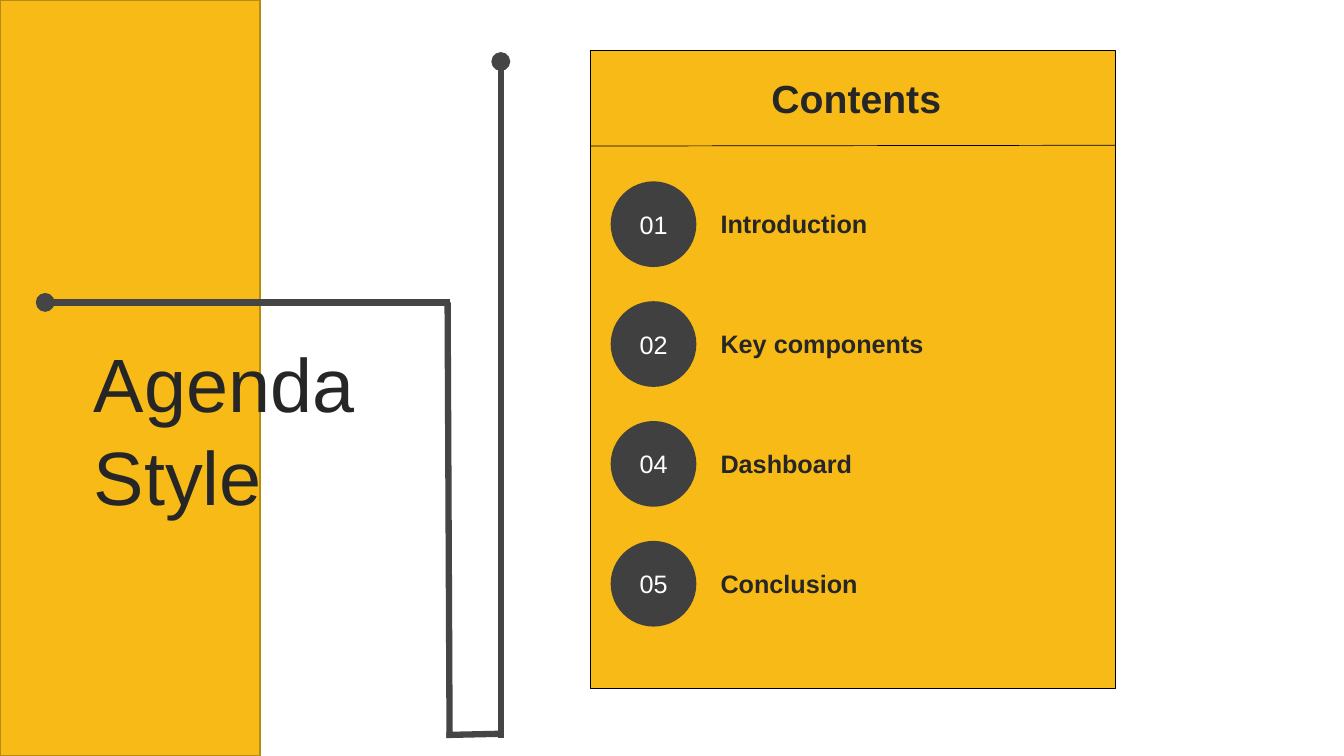
"""Build the agenda slide."""
from dataclasses import dataclass

from lxml.etree import SubElement
from pptx import Presentation
from pptx.dml.color import RGBColor
from pptx.enum.shapes import MSO_CONNECTOR, MSO_SHAPE
from pptx.enum.text import MSO_ANCHOR, MSO_AUTO_SIZE, PP_ALIGN
from pptx.oxml.ns import qn
from pptx.util import Cm, Pt

GOLD, EDGE, DISC, TRACK = "F8BA16", "B78A10", "404040", "454545"
INK, BLACK, WHITE = "262626", "000000", "FFFFFF"
FONT = "Arial"
PITCH = 3.02


@dataclass
class Box:
    """A place on the slide in centimetres."""
    left: float
    top: float
    width: float
    height: float

    def lengths(self) -> tuple:
        """Return the place as slide lengths."""
        return Cm(self.left), Cm(self.top), Cm(self.width), Cm(self.height)


@dataclass
class Line:
    """A straight line in centimetres, with an optional dot at its start."""
    x1: float
    y1: float
    x2: float
    y2: float
    color: str = TRACK
    weight: float = 4.5
    dot: bool = False


@dataclass
class Topic:
    """A numbered entry of the agenda."""
    number: str
    label: str


LINES = [
    Line(1.14, 7.62, 11.33, 7.62, dot=True),
    Line(11.33, 18.59, 11.28, 7.62),
    Line(12.62, 1.55, 12.62, 18.59, dot=True),
    Line(11.25, 18.52, 12.65, 18.49),
]
TOPICS = [
    Topic("01", "Introduction"),
    Topic("02", "Key components"),
    Topic("04", "Dashboard"),
    Topic("05", "Conclusion"),
]


def paint(target, color: str) -> None:
    """Set a solid colour on a fill or a font."""
    if hasattr(target, "solid"):
        target.solid()
        target.fore_color.rgb = RGBColor.from_string(color)
    else:
        target.color.rgb = RGBColor.from_string(color)


def write(frame, text: str, size: float, color: str, bold: bool = False,
          align=PP_ALIGN.LEFT, anchor=MSO_ANCHOR.TOP) -> None:
    """Put one formatted paragraph into a text frame."""
    frame.word_wrap = True
    frame.auto_size = MSO_AUTO_SIZE.NONE
    frame.vertical_anchor = anchor
    frame.text = text
    para = frame.paragraphs[0]
    para.alignment = align
    para.font.name = FONT
    para.font.size = Pt(size)
    para.font.bold = bold
    paint(para.font, color)


def draw_shape(slide, kind, box: Box, fill: str, edge: str = ""):
    """Draw a flat shape, with an edge if a colour is given."""
    shape = slide.shapes.add_shape(kind, *box.lengths())
    shape.shadow.inherit = False
    paint(shape.fill, fill)
    if edge:
        paint(shape.line.fill, edge)
        shape.line.width = Pt(1)
    else:
        shape.line.fill.background()
    return shape


def draw_line(slide, line: Line) -> None:
    """Draw a line and its dot."""
    link = slide.shapes.add_connector(
        MSO_CONNECTOR.STRAIGHT, Cm(line.x1), Cm(line.y1), Cm(line.x2), Cm(line.y2))
    paint(link.line.fill, line.color)
    link.line.width = Pt(line.weight)
    props = link.element.spPr
    if line.dot:
        SubElement(props.find(qn("a:ln")), qn("a:headEnd"), type="oval")
    SubElement(props, qn("a:effectLst"))


def draw_label(slide, box: Box, text: str, size: float, align=PP_ALIGN.LEFT) -> None:
    """Draw a bold label."""
    frame = slide.shapes.add_textbox(*box.lengths()).text_frame
    frame.margin_left = frame.margin_right = Cm(0.3)
    write(frame, text, size, INK, True, align)


def draw_topic(slide, topic: Topic, shift: float) -> None:
    """Draw a numbered disc and its label."""
    disc = draw_shape(slide, MSO_SHAPE.OVAL, Box(15.39, 4.57 + shift, 2.16, 2.16), DISC)
    write(disc.text_frame, topic.number, 18, WHITE,
          align=PP_ALIGN.CENTER, anchor=MSO_ANCHOR.MIDDLE)
    draw_label(slide, Box(17.86, 5.13 + shift, 12.52, 1.02), topic.label, 18)


def draw_title(slide, below) -> None:
    """Place the title just above the given shape."""
    title = slide.shapes.title
    title.left, title.top, title.width, title.height = Box(2.11, 8.33, 8.94, 4.88).lengths()
    write(title.text_frame, "Agenda\vStyle", 54, INK, anchor=MSO_ANCHOR.MIDDLE)
    title.text_frame.paragraphs[0].line_spacing = 1.03
    below.element.addnext(title.element)


def main() -> None:
    """Build and save the deck."""
    deck = Presentation()
    deck.slide_width, deck.slide_height = Cm(33.87), Cm(19.05)
    slide = deck.slides.add_slide(deck.slide_layouts[5])
    band = draw_shape(slide, MSO_SHAPE.RECTANGLE, Box(0, 0, 6.55, 19.05), GOLD, EDGE)
    draw_title(slide, band)
    for line in LINES:
        draw_line(slide, line)
    draw_shape(slide, MSO_SHAPE.RECTANGLE, Box(14.88, 1.27, 13.23, 16.08), GOLD, BLACK)
    draw_line(slide, Line(14.88, 3.68, 28.11, 3.66, BLACK, 0.5))
    for row, topic in enumerate(TOPICS):
        draw_topic(slide, topic, row * PITCH)
    draw_label(slide, Box(13.11, 1.75, 16.94, 1.45), "Contents", 28, PP_ALIGN.CENTER)
    deck.save("out.pptx")


if __name__ == "__main__":
    main()
